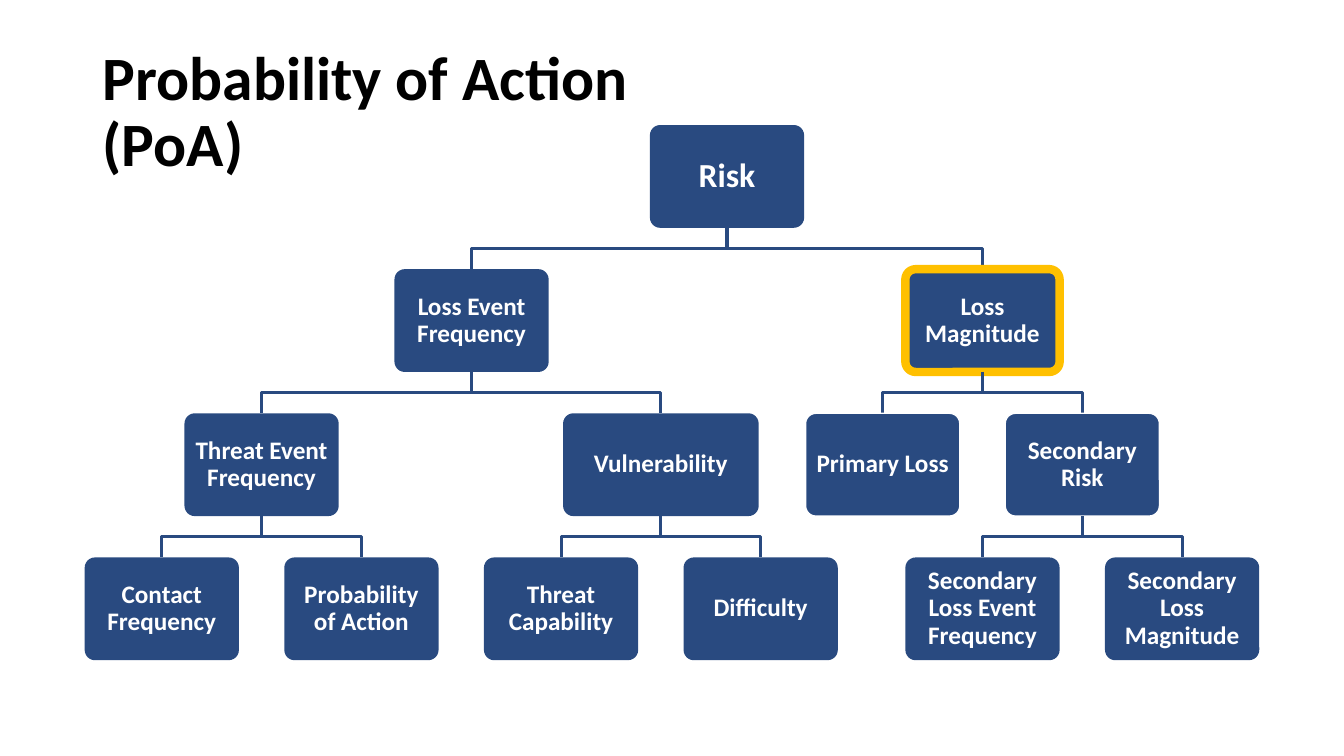
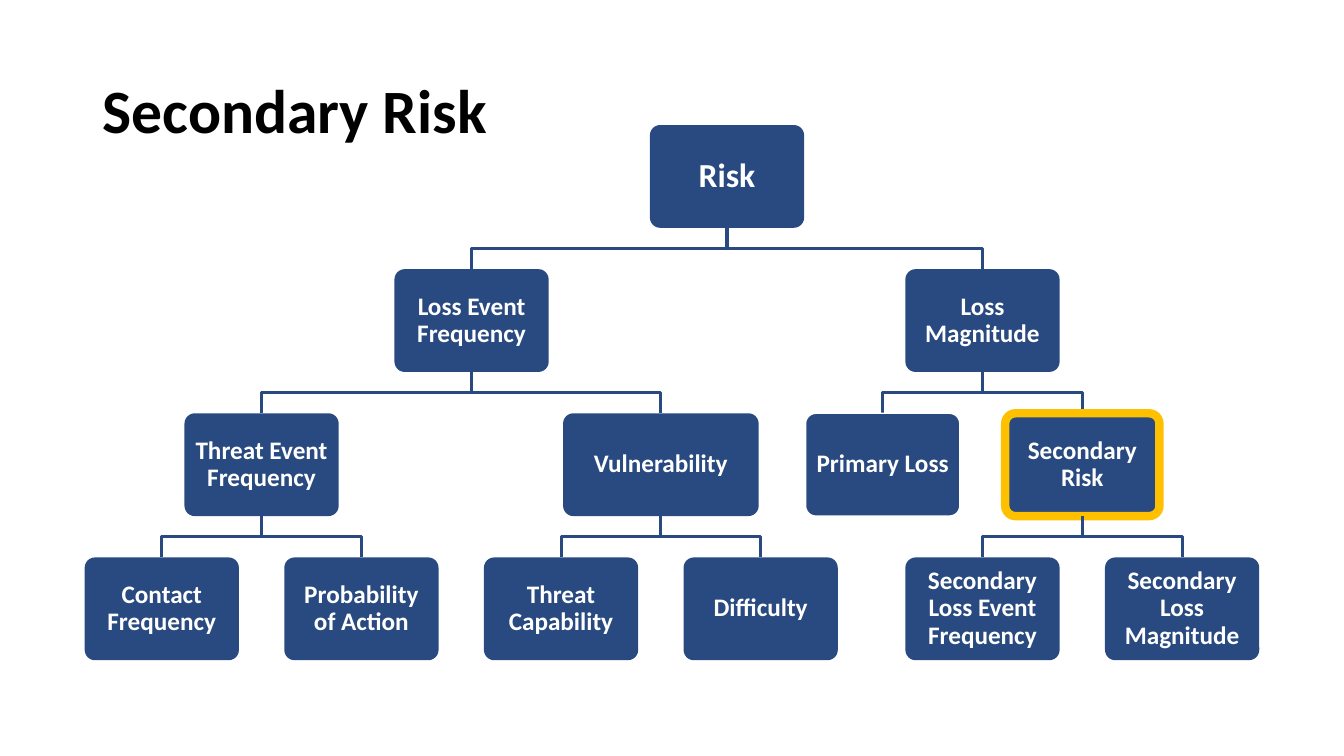
from dataclasses import dataclass

from pptx import Presentation
from pptx.dml.color import RGBColor
from pptx.enum.shapes import MSO_SHAPE
from pptx.enum.text import MSO_ANCHOR, PP_ALIGN
from pptx.util import Inches, Pt

# Shared style
FONT = "Calibri"
NAVY, GOLD, WHITE, BLACK = "294A80", "FFC000", "FFFFFF", "000000"

# Tree grid, in inches
BOX_WIDTH, WIDE_BOX, BOX_HEIGHT = 1.53, 1.94, 1.02
COLUMN_STEP = BOX_WIDTH + 0.45
LEVEL_GAP = 0.41
TREE_TOP = 1.24
FREQUENCY_LEFT, MAGNITUDE_LEFT = 0.84, 7.99


@dataclass
class Node:
    label: str
    children: tuple = ()
    leaf_left: float = 0
    width: float = BOX_WIDTH
    outlined: bool = False

    @property
    def left(self):
        """A parent is centred over the outer edges of its children."""
        if not self.children:
            return self.leaf_left
        first, last = self.children[0], self.children[-1]
        return (first.left + last.left + last.width - self.width) / 2

    @property
    def centre(self):
        return self.left + self.width / 2


def frequency_leaf(label, column):
    return Node(label, leaf_left=FREQUENCY_LEFT + column * COLUMN_STEP)


def magnitude_leaf(label, column, outlined=False):
    return Node(label, leaf_left=MAGNITUDE_LEFT + column * COLUMN_STEP,
                outlined=outlined)


RISK_TREE = Node("Risk", (
    Node("Loss Event Frequency", (
        Node("Threat Event Frequency", (
            frequency_leaf("Contact Frequency", 0),
            frequency_leaf("Probability of Action", 1),
        )),
        Node("Vulnerability", (
            frequency_leaf("Threat Capability", 2),
            frequency_leaf("Difficulty", 3),
        ), width=WIDE_BOX),
    )),
    Node("Loss Magnitude", (
        magnitude_leaf("Primary Loss", 0, outlined=True),
        Node("Secondary Risk", (
            magnitude_leaf("Secondary Loss Event Frequency", 0.5),
            magnitude_leaf("Secondary Loss Magnitude", 1.5),
        ), outlined=True),
    )),
))

# Title and highlighted box of each slide
SLIDES = [
    ("Probability of Action\v(PoA)", "Loss Magnitude"),
    ("Secondary Risk", "Secondary Risk"),
]


def color(value):
    return RGBColor.from_string(value)


def set_line(shape, value, points):
    shape.line.color.rgb = color(value)
    shape.line.width = Pt(points)


def write_text(shape, text, size, text_color, alignment):
    frame = shape.text_frame
    frame.word_wrap = True
    frame.vertical_anchor = MSO_ANCHOR.MIDDLE
    frame.text = text
    paragraph = frame.paragraphs[0]
    paragraph.alignment = alignment
    paragraph.line_spacing = 0.9
    font = paragraph.font
    font.name, font.size, font.bold = FONT, Pt(size), True
    font.color.rgb = color(text_color)


def add_title(slide, text):
    title = slide.shapes.add_textbox(
        Inches(0.92), Inches(0.4), Inches(11.5), Inches(1.45))
    write_text(title, text, 44, BLACK, PP_ALIGN.LEFT)


def add_box(slide, node, top, size, highlighted):
    box = slide.shapes.add_shape(
        MSO_SHAPE.ROUNDED_RECTANGLE, Inches(node.left), Inches(top),
        Inches(node.width), Inches(BOX_HEIGHT))
    box.adjustments[0] = 0.1
    box.shadow.inherit = False
    box.fill.solid()
    box.fill.fore_color.rgb = color(NAVY)
    if highlighted:
        set_line(box, GOLD, 6)
    elif node.outlined:
        set_line(box, WHITE, 1)
    else:
        box.line.fill.background()
    frame = box.text_frame
    frame.margin_left = frame.margin_right = Inches(0.07)
    frame.margin_top = frame.margin_bottom = Inches(0.07)
    write_text(box, node.label, size, WHITE, PP_ALIGN.CENTER)


def add_branch(slide, parent, child, top):
    """Draw the bent line from a parent down to the child below it."""
    middle, bottom = top + LEVEL_GAP / 2, top + LEVEL_GAP
    corners = [(parent.centre, middle), (child.centre, middle),
               (child.centre, bottom)]
    builder = slide.shapes.build_freeform(Inches(parent.centre), Inches(top))
    builder.add_line_segments(
        [(Inches(x), Inches(y)) for x, y in corners], close=False)
    branch = builder.convert_to_shape()
    branch.shadow.inherit = False
    branch.fill.background()
    set_line(branch, NAVY, 2.25)


def add_tree(slide, node, highlight, top=TREE_TOP, size=24):
    add_box(slide, node, top, size, node.label == highlight)
    bottom = top + BOX_HEIGHT
    for child in node.children:
        add_branch(slide, node, child, bottom)
        add_tree(slide, child, highlight, bottom + LEVEL_GAP, size=18)


def main():
    presentation = Presentation()
    presentation.slide_width = Inches(13.33)
    presentation.slide_height = Inches(7.5)
    blank_layout = presentation.slide_layouts[6]
    for title, highlight in SLIDES:
        slide = presentation.slides.add_slide(blank_layout)
        add_title(slide, title)
        add_tree(slide, RISK_TREE, highlight)
    presentation.save("out.pptx")


if __name__ == "__main__":
    main()
